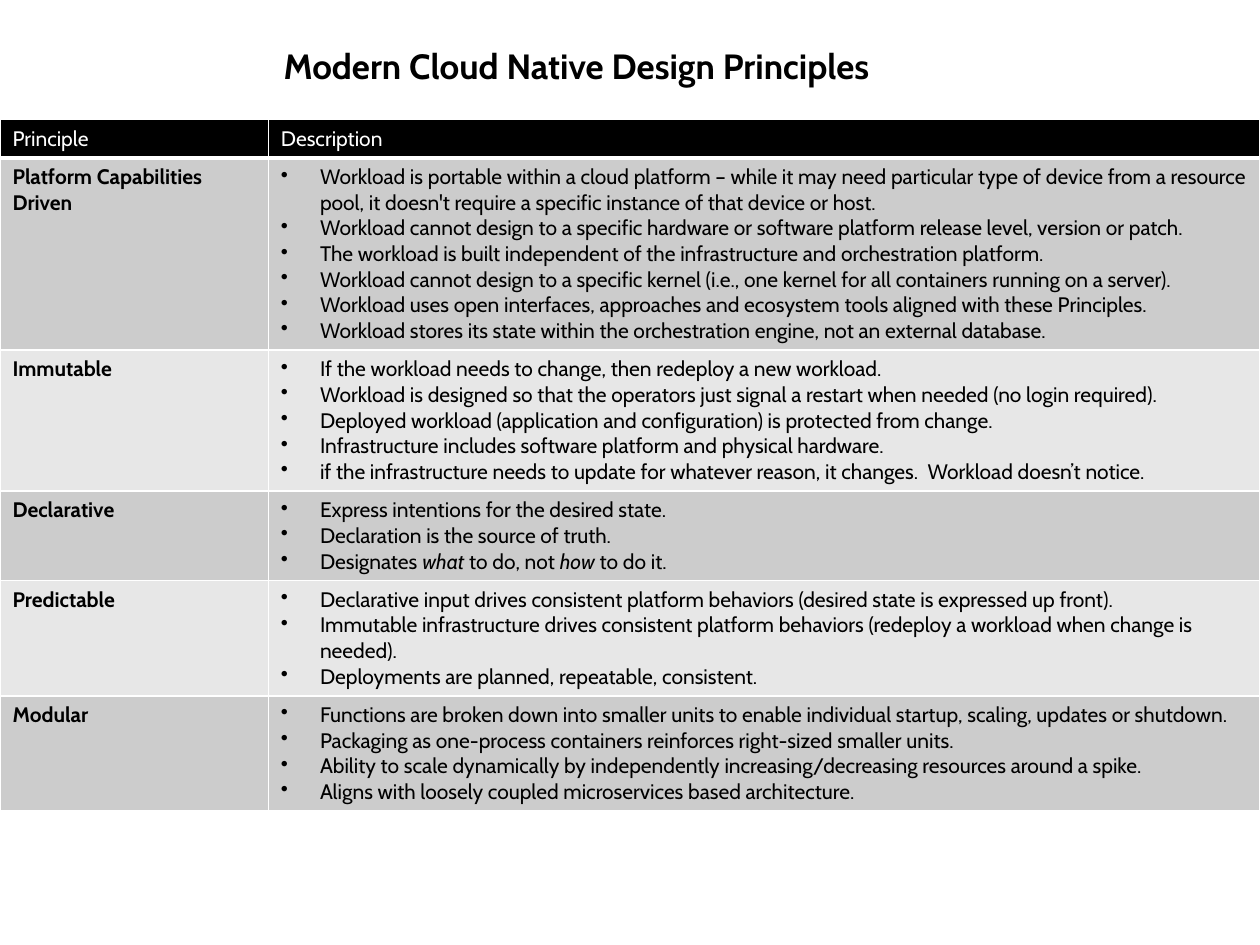
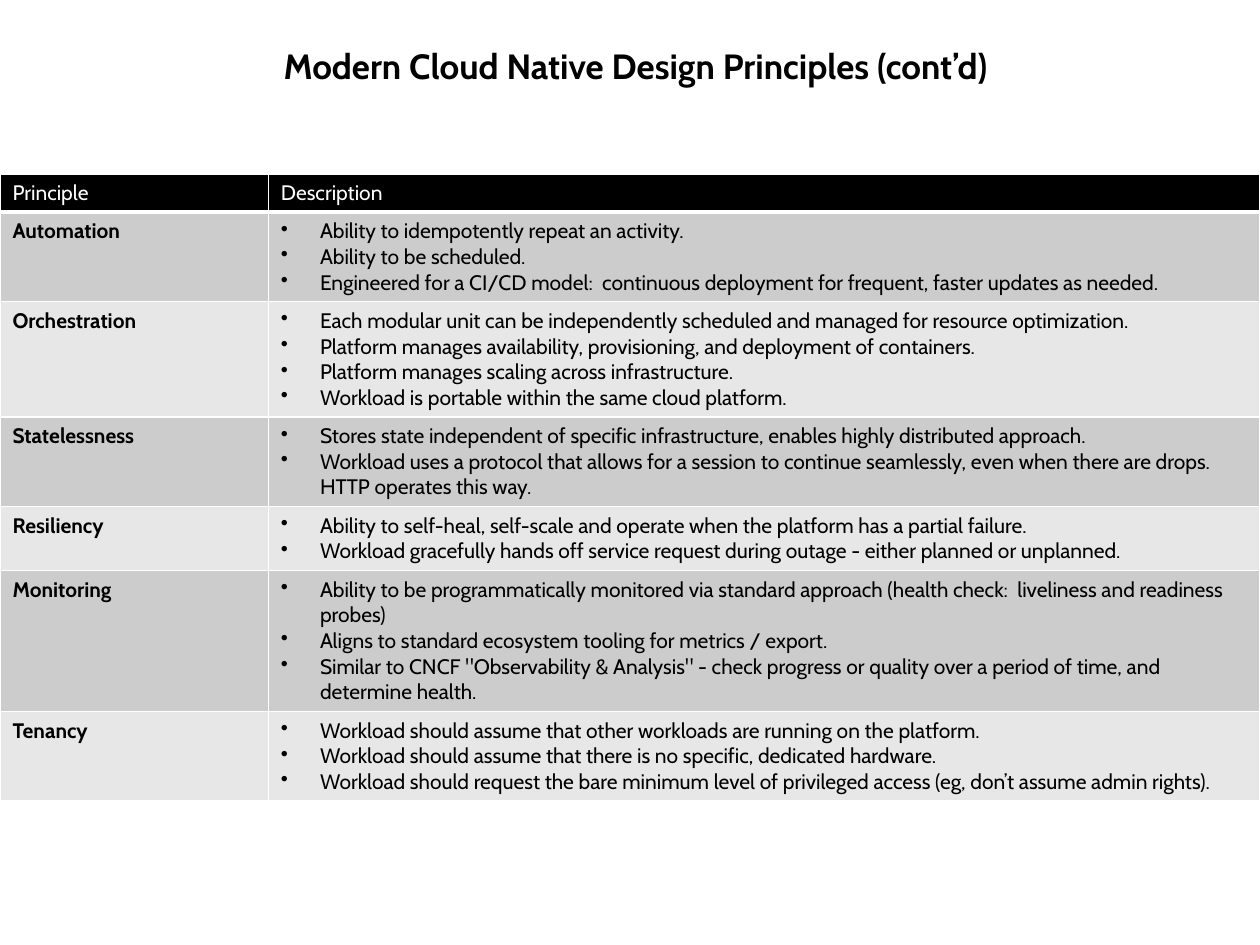
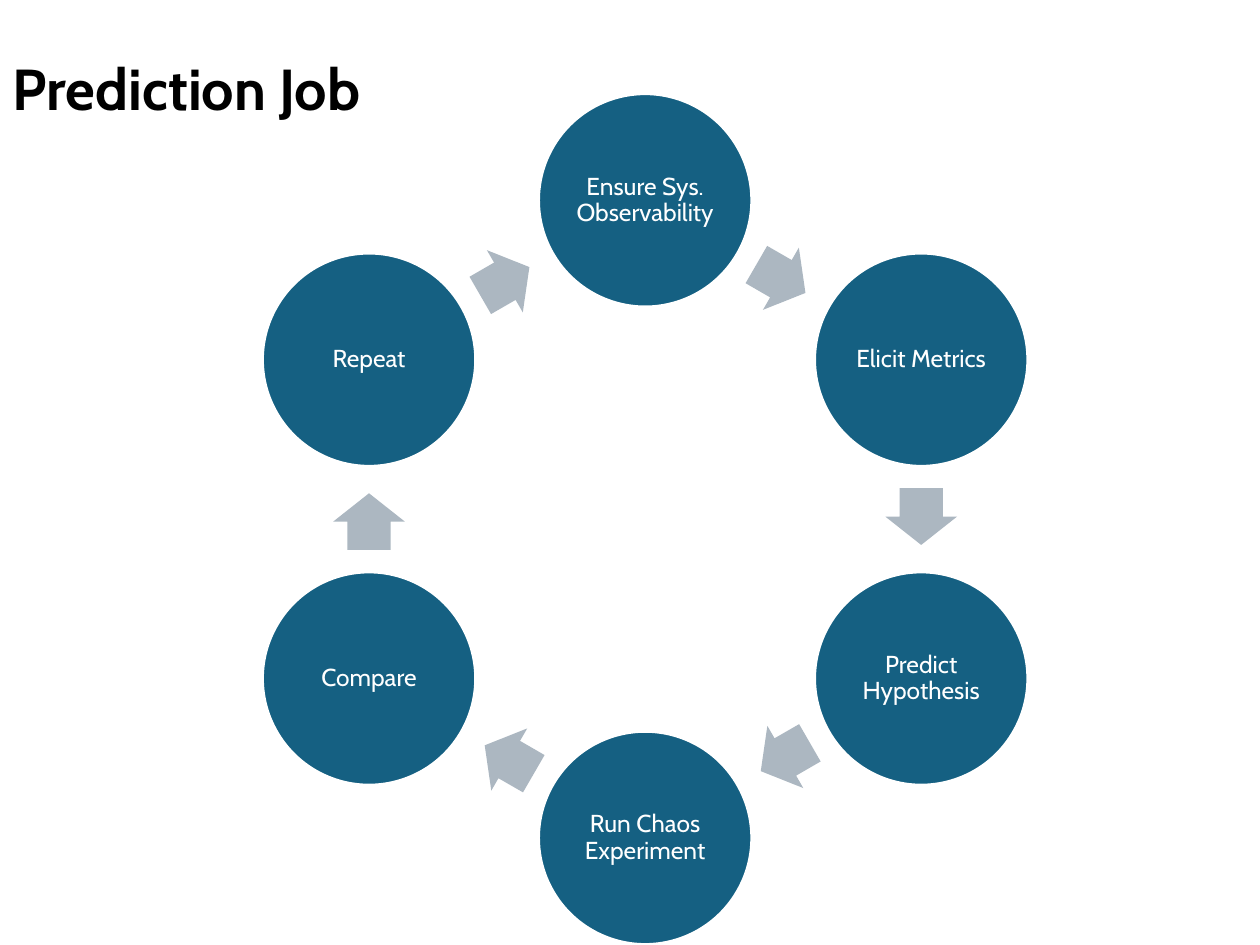
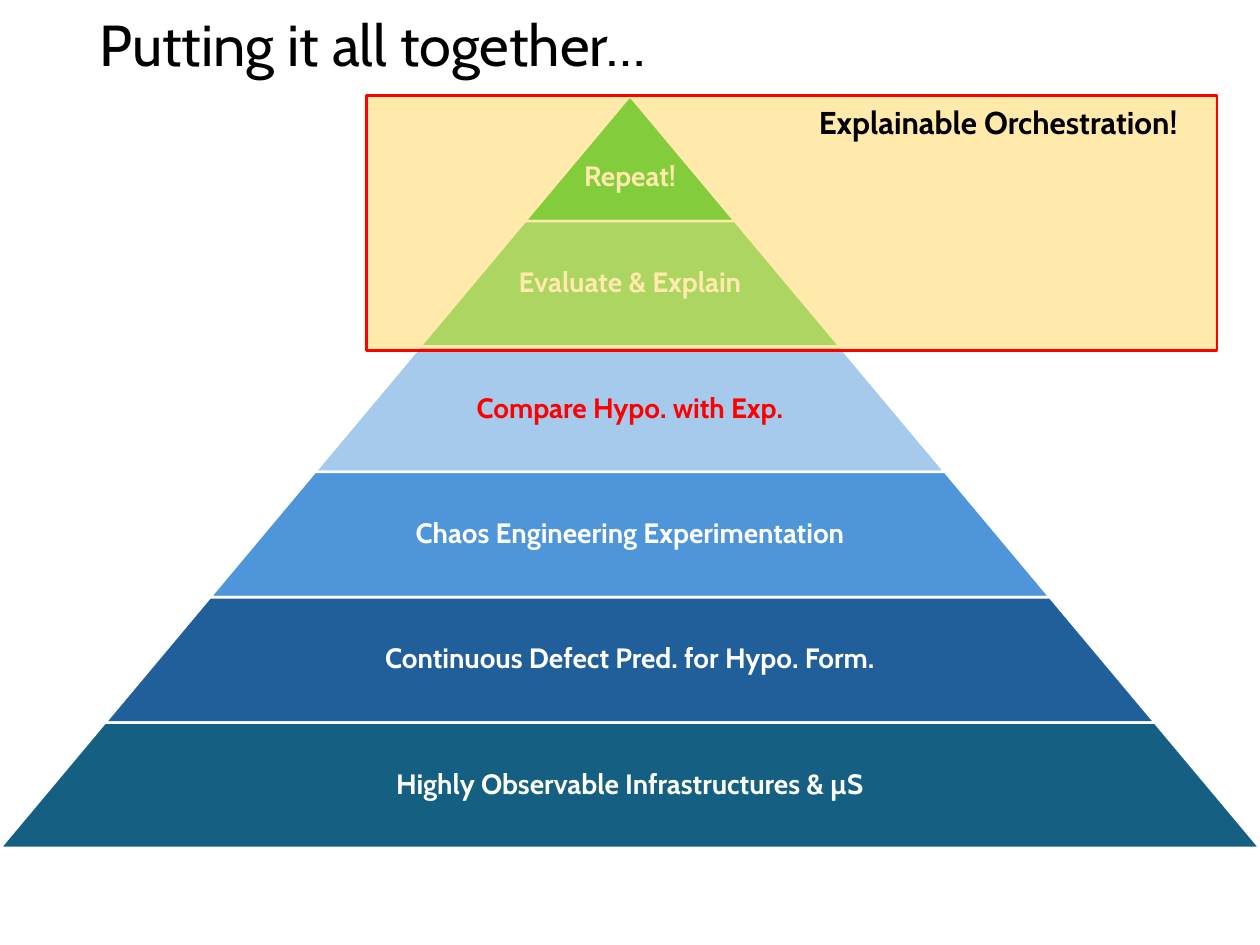
import math

import lxml.etree
import pptx
import pptx.dml.color
import pptx.enum.shapes
import pptx.enum.text
import pptx.oxml.ns
import pptx.util

Inches = pptx.util.Inches
SHAPES = pptx.enum.shapes.MSO_SHAPE
ANCHOR = pptx.enum.text.MSO_ANCHOR
ALIGN = pptx.enum.text.PP_ALIGN
qn = pptx.oxml.ns.qn

FONT = "Cabin"
COLORS = {
    "black": "000000", "white": "FFFFFF", "red": "FF0000", "amber": "FFC000",
    "dark band": "CCCCCC", "light band": "E7E7E7",
    "teal": "156082", "arrow": "ACB7C1", "green": "47D45A", "light green": "84E291",
    "pale blue": "A6CAEC", "blue": "4E95D9", "deep blue": "215F9A",
}


def rgb(name):
    return pptx.dml.color.RGBColor.from_string(COLORS[name])


def write(frame, text, size=12, color="black", bold=False, align=ALIGN.LEFT,
          anchor=ANCHOR.TOP, spacing=None, inset=None, wrap=True, bullets=False):
    """Fill a frame or cell, one paragraph per line; *stars* mark italics."""
    frame.vertical_anchor = anchor
    if inset is not None:
        frame.margin_left = frame.margin_right = Inches(inset)
        frame.margin_top = frame.margin_bottom = Inches(inset)
    body = getattr(frame, "text_frame", frame)
    body.word_wrap = wrap
    for number, line in enumerate(text.split("\n")):
        paragraph = body.add_paragraph() if number else body.paragraphs[0]
        if bullets:
            properties = paragraph._p.get_or_add_pPr()
            properties.set("marL", str(Inches(0.31)))
            properties.set("indent", str(-Inches(0.31)))
            lxml.etree.SubElement(properties, qn("a:buChar"), char="•")
        paragraph.alignment = align
        if spacing:
            paragraph.line_spacing = spacing
        for part, words in enumerate(line.split("*")):
            run = paragraph.add_run()
            run.text = words
            run.font.name = FONT
            run.font.size = pptx.util.Pt(size)
            run.font.bold = bold
            run.font.italic = part % 2 == 1
            run.font.color.rgb = rgb(color)


deck = pptx.Presentation()
deck.slide_width = Inches(10)
deck.slide_height = Inches(7.5)

# Slides and their titles: text, box, format
title_formats = [
    ("Modern Cloud Native Design Principles", (2.15, 0.3, 7.53, 0.44),
     dict(size=20, bold=True)),
    ("Modern Cloud Native Design Principles (cont’d)", (2.15, 0.3, 7.53, 0.44),
     dict(size=20, bold=True)),
    ("Prediction Job", (0, 0, 8.62, 1.45),
     dict(size=33, bold=True, anchor=ANCHOR.MIDDLE, spacing=0.9)),
    ("Putting it all together…", (0.69, 0, 8.62, 0.76),
     dict(size=33, anchor=ANCHOR.MIDDLE, spacing=0.9)),
]
slides = []
for words, box, look in title_formats:
    slide = deck.slides.add_slide(deck.slide_layouts[5])
    title = slide.shapes.title
    title.left, title.top, title.width, title.height = map(Inches, box)
    title.text_frame.auto_size = pptx.enum.text.MSO_AUTO_SIZE.NONE
    write(title.text_frame, words, **look)
    slides.append(slide)
first_principles, more_principles, prediction_job, together = slides

# Slides 1 and 2: principle, lines of text in the row, description
principles = [
    ("Platform Capabilities Driven", 7,
     """Workload is portable within a cloud platform – while it may need particular type of device from a resource pool, it doesn't require a specific instance of that device or host.
Workload cannot design to a specific hardware or software platform release level, version or patch.
The workload is built independent of the infrastructure and orchestration platform.
Workload cannot design to a specific kernel (i.e., one kernel for all containers running on a server).
Workload uses open interfaces, approaches and ecosystem tools aligned with these Principles.
Workload stores its state within the orchestration engine, not an external database."""),
    ("Immutable", 5,
     """If the workload needs to change, then redeploy a new workload.
Workload is designed so that the operators just signal a restart when needed (no login required).
Deployed workload (application and configuration) is protected from change.
Infrastructure includes software platform and physical hardware.
if the infrastructure needs to update for whatever reason, it changes.  Workload doesn’t notice."""),
    ("Declarative", 3,
     """Express intentions for the desired state.
Declaration is the source of truth.
Designates *what *to do, not *how *to do it."""),
    ("Predictable", 4,
     """Declarative input drives consistent platform behaviors (desired state is expressed up front).
Immutable infrastructure drives consistent platform behaviors (redeploy a workload when change is needed).
Deployments are planned, repeatable, consistent."""),
    ("Modular", 4,
     """Functions are broken down into smaller units to enable individual startup, scaling, updates or shutdown.
Packaging as one-process containers reinforces right-sized smaller units.
Ability to scale dynamically by independently increasing/decreasing resources around a spike.
Aligns with loosely coupled microservices based architecture."""),
]
principles_continued = [
    ("Automation", 3,
     """Ability to idempotently repeat an activity.
Ability to be scheduled.
Engineered for a CI/CD model:  continuous deployment for frequent, faster updates as needed."""),
    ("Orchestration", 4,
     """Each modular unit can be independently scheduled and managed for resource optimization.
Platform manages availability, provisioning, and deployment of containers.
Platform manages scaling across infrastructure.
Workload is portable within the same cloud platform."""),
    ("Statelessness", 3,
     """Stores state independent of specific infrastructure, enables highly distributed approach.
Workload uses a protocol that allows for a session to continue seamlessly, even when there are drops.  HTTP operates this way."""),
    ("Resiliency", 2,
     """Ability to self-heal, self-scale and operate when the platform has a partial failure.
Workload gracefully hands off service request during outage - either planned or unplanned."""),
    ("Monitoring", 5,
     """Ability to be programmatically monitored via standard approach (health check:  liveliness and readiness probes)
Aligns to standard ecosystem tooling for metrics / export.
Similar to CNCF "Observability & Analysis" - check progress or quality over a period of time, and determine health."""),
    ("Tenancy", 3,
     """Workload should assume that other workloads are running on the platform.
Workload should assume that there is no specific, dedicated hardware.
Workload should request the bare minimum level of privileged access (eg, don’t assume admin rights)."""),
]
for slide, top, rows in [(first_principles, 0.95, principles),
                         (more_principles, 1.38, principles_continued)]:
    heights = [0.3] + [0.1 + 0.2 * lines for _, lines, _ in rows]
    grid = slide.shapes.add_table(len(heights), 2, 0, Inches(top),
                                  Inches(10), Inches(sum(heights))).table
    grid.horz_banding = False
    grid.columns[0].width = Inches(2.13)
    grid.columns[1].width = Inches(7.87)
    entries = [("Principle", 1, "Description")] + rows
    for row, (principle, _, description) in enumerate(entries):
        grid.rows[row].height = Inches(heights[row])
        header = row == 0
        band = "black" if header else "dark band" if row % 2 else "light band"
        for column, words in enumerate((principle, description)):
            cell = grid.cell(row, column)
            # White rules around the cell, heavier under the header
            for side in ("lnL", "lnR", "lnT", "lnB"):
                weight = 3 if (header and side == "lnB") or (row == 1 and side == "lnT") else 1
                rule = lxml.etree.SubElement(cell._tc.get_or_add_tcPr(), qn("a:" + side),
                                             w=str(pptx.util.Pt(weight)))
                paint = lxml.etree.SubElement(rule, qn("a:solidFill"))
                lxml.etree.SubElement(paint, qn("a:srgbClr"), val=COLORS["white"])
            cell.fill.solid()
            cell.fill.fore_color.rgb = rgb(band)
            write(cell, words, color="white" if header else "black",
                  bold=not header and column == 0, bullets=not header and column == 1)

# Slide 3: ring of six steps, each with an arrow to the next
steps = ["Ensure Sys. Observability", "Elicit Metrics", "Predict Hypothesis",
         "Run Chaos Experiment", "Compare", "Repeat"]
ring_x, ring_y, ring_radius, diameter = 5.12, 4.12, 2.53, 1.69
arrow_width, arrow_height, arrow_setback = 0.45, 0.57, 0.02
for number, words in enumerate(steps):
    angle = math.radians(60 * number - 90)
    step = prediction_job.shapes.add_shape(
        SHAPES.OVAL,
        Inches(ring_x + ring_radius * math.cos(angle) - diameter / 2),
        Inches(ring_y + ring_radius * math.sin(angle) - diameter / 2),
        Inches(diameter), Inches(diameter))
    step.shadow.inherit = False
    step.fill.solid()
    step.fill.fore_color.rgb = rgb("teal")
    step.line.color.rgb = rgb("white")
    step.line.width = pptx.util.Pt(1.5)
    write(step.text_frame, words, size=14, color="white", align=ALIGN.CENTER,
          anchor=ANCHOR.MIDDLE, spacing=0.9, inset=0.02)

    halfway = angle + math.radians(30)
    heading = halfway + math.radians(90)
    reach = ring_radius * math.cos(math.radians(30))
    arrow_x = ring_x + reach * math.cos(halfway) - arrow_setback * math.cos(heading)
    arrow_y = ring_y + reach * math.sin(halfway) - arrow_setback * math.sin(heading)
    arrow = prediction_job.shapes.add_shape(
        SHAPES.RIGHT_ARROW, Inches(arrow_x - arrow_width / 2),
        Inches(arrow_y - arrow_height / 2), Inches(arrow_width), Inches(arrow_height))
    arrow.rotation = 60 * number + 30
    arrow.adjustments[0] = 0.6
    arrow.adjustments[1] = 0.5
    arrow.shadow.inherit = False
    arrow.fill.solid()
    arrow.fill.fore_color.rgb = rgb("arrow")
    arrow.line.fill.background()

# Slide 4: pyramid from the tip down
levels = [
    ("Repeat!", "green", "white"),
    ("Evaluate & Explain", "light green", "white"),
    ("Compare Hypo. with Exp.", "pale blue", "red"),
    ("Chaos Engineering Experimentation", "blue", "white"),
    ("Continuous Defect Pred. for Hypo. Form.", "deep blue", "white"),
    ("Highly Observable Infrastructures & µS", "teal", "white"),
]
pyramid_top, level_height = 0.76, 0.995
for number, (words, fill, ink) in enumerate(levels):
    top = Inches(pyramid_top + number * level_height)
    width = 10 * (number + 1) / len(levels)
    level = together.shapes.add_shape(SHAPES.TRAPEZOID, Inches(5 - width / 2), top,
                                      Inches(width), Inches(level_height))
    level.adjustments[0] = 0.837
    level.shadow.inherit = False
    level.fill.solid()
    level.fill.fore_color.rgb = rgb(fill)
    level.line.color.rgb = rgb("white")
    level.line.width = pptx.util.Pt(1.5)

    label_width = 0.65 * width if number else width
    label = together.shapes.add_textbox(Inches(5 - label_width / 2), top,
                                        Inches(label_width), Inches(level_height))
    write(label.text_frame, words, size=16, color=ink, bold=True, align=ALIGN.CENTER,
          anchor=ANCHOR.MIDDLE, spacing=0.9, inset=0.02)
    if number == 0:
        label.text_frame.margin_top = Inches(0.32)  # down to the wide part of the tip

# Slide 4: see-through highlight over the two top levels
highlight = together.shapes.add_shape(SHAPES.RECTANGLE, Inches(2.91), Inches(0.76),
                                      Inches(6.75), Inches(2.02))
highlight.shadow.inherit = False
highlight.fill.solid()
highlight.fill.fore_color.rgb = rgb("amber")
tint = highlight._element.spPr.find(qn("a:solidFill")).find(qn("a:srgbClr"))
lxml.etree.SubElement(tint, qn("a:alpha"), val="33000")
highlight.line.color.rgb = rgb("red")
highlight.line.width = pptx.util.Pt(1.5)
caption = together.shapes.add_textbox(Inches(6.4), Inches(0.77), Inches(3.26), Inches(0.4))
write(caption.text_frame, "Explainable Orchestration!", size=18, bold=True, wrap=False)

deck.save("out.pptx")
